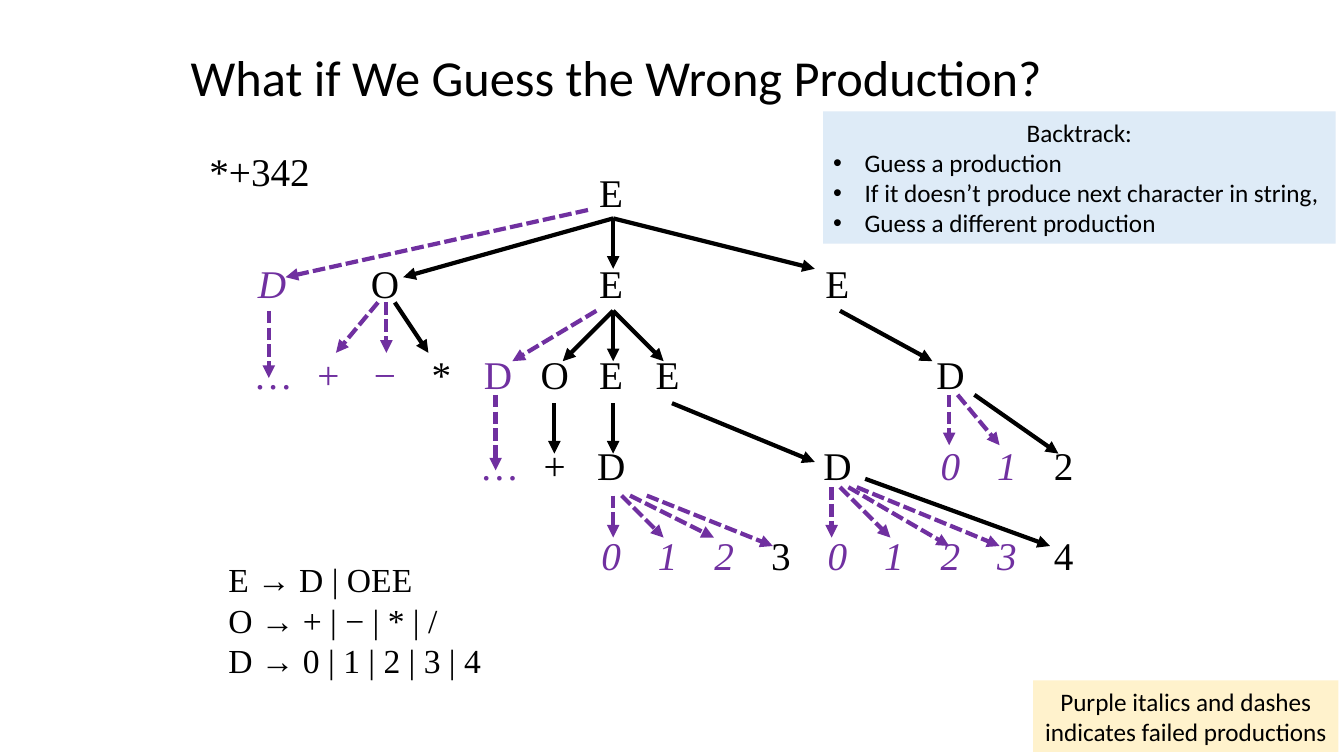
from dataclasses import dataclass

from lxml import etree
from pptx import Presentation
from pptx.dml.color import RGBColor
from pptx.enum.dml import MSO_LINE
from pptx.enum.shapes import MSO_CONNECTOR, MSO_SHAPE
from pptx.enum.text import MSO_ANCHOR, PP_ALIGN
from pptx.oxml.ns import qn
from pptx.util import Pt

LEFT, CENTER = PP_ALIGN.LEFT, PP_ALIGN.CENTER
MIDDLE = MSO_ANCHOR.MIDDLE
STRAIGHT, RECTANGLE = MSO_CONNECTOR.STRAIGHT, MSO_SHAPE.RECTANGLE
FAILED_DASH = MSO_LINE.SQUARE_DOT
NO_STYLE = "{2D5ABB26-0587-4C30-8999-92F81FD0307C}"


@dataclass(frozen=True)
class Theme:
    ink: RGBColor = RGBColor.from_string("000000")
    failed: RGBColor = RGBColor.from_string("7030A0")
    blue: RGBColor = RGBColor.from_string("DEEBF7")
    yellow: RGBColor = RGBColor.from_string("FFF2CC")
    sans: str = "Calibri"
    serif: str = "Times New Roman"
    title: int = 36
    symbol: int = 28
    grammar: int = 24
    note: int = 18
    arrow: int = 3


THEME = Theme()
GRID = 6
COLUMNS = 15
ROW_HEIGHT = 64.8

# Symbols: row -> {column: (symbol, failed, italic)}
TREE_ROWS = [
    {6: "E"},
    {0: "~D", 2: "O", 6: "E", 10: "E"},
    {0: "!…", 1: "!+", 2: "!−", 3: "*", 4: "!D", 5: "O", 6: "E", 7: "E", 12: "D"},
    {4: "!…", 5: "+", 6: "D", 10: "D", 12: "~0", 13: "~1", 14: "2"},
    {6: "~0", 7: "~1", 8: "~2", 9: "3", 10: "~0", 11: "~1", 12: "~2", 13: "~3", 14: "4"},
]
TAKEN_ARROWS = [
    (44, 6, 19, 13), (44, 6, 44, 12), (44, 6, 68, 12),
    (18, 16, 22, 22),
    (44, 17, 38, 23), (44, 17, 44, 23), (44, 17, 50, 23), (71, 17, 82, 23),
    (37, 28, 37, 34), (44, 28, 44, 34), (51, 28, 68, 35),
    (87, 27, 97, 34), (74, 37, 96, 45),
]
FAILED_ARROWS = [
    (41, 5, 5, 13), (3, 17, 3, 25),
    (16, 16, 11, 22), (17, 16, 17, 22),
    (42, 17, 32, 23), (30, 27, 30, 36),
    (84, 27, 84, 33), (85, 27, 90, 33),
    (44, 39, 44, 44), (45, 39, 50, 44), (46, 39, 56, 44), (48, 39, 63, 45),
    (70, 38, 70, 44), (71, 38, 77, 44), (72, 38, 84, 45), (73, 38, 90, 45),
]


def style(paragraph, size, face, align=LEFT, color=THEME.ink, italic=False):
    paragraph.alignment = align
    font = paragraph.font
    font.size, font.name, font.italic = Pt(size), face, italic
    font.color.rgb = color


def add_bullet(paragraph, indent):
    properties = paragraph._p.get_or_add_pPr()
    properties.set("marL", str(Pt(indent)))
    properties.set("indent", str(-Pt(indent)))
    etree.SubElement(properties, qn("a:buFont")).set("typeface", "Arial")
    etree.SubElement(properties, qn("a:buChar")).set("char", "•")


def add_title(slide, box):
    title = slide.shapes.title
    title.left, title.top, title.width, title.height = map(Pt, box)
    title.text_frame.text = "What if We Guess the Wrong Production?"
    title.text_frame.vertical_anchor = MIDDLE
    heading = title.text_frame.paragraphs[0]
    style(heading, THEME.title, THEME.sans)
    heading.line_spacing = 0.9


def add_symbols(slide, box):
    table = slide.shapes.add_table(len(TREE_ROWS), COLUMNS, *map(Pt, box)).table
    table.first_row = table.horz_banding = False
    table._tbl.tblPr.find(qn("a:tableStyleId")).text = NO_STYLE
    for column in table.columns:
        column.width = Pt(box[2] / COLUMNS)
    for row in table.rows:
        row.height = Pt(ROW_HEIGHT)
    for cell in table.iter_cells():
        cell.fill.background()
    for row, symbols in enumerate(TREE_ROWS):
        for column, marked in symbols.items():
            failed, italic = marked[0] in "~!", marked[0] == "~"
            symbol = table.cell(row, column).text_frame.paragraphs[0]
            symbol.text = marked[-1]
            style(symbol, THEME.symbol, THEME.serif, CENTER,
                  THEME.failed if failed else THEME.ink, italic)


def add_arrow(slide, box, ends, failed):
    left, top = box[:2]
    x1, y1, x2, y2 = (GRID * end for end in ends)
    arrow = slide.shapes.add_connector(
        STRAIGHT, Pt(left + x1), Pt(top + y1), Pt(left + x2), Pt(top + y2))
    arrow.line.width = Pt(THEME.arrow)
    arrow.line.color.rgb = THEME.failed if failed else THEME.ink
    if failed:
        arrow.line.dash_style = FAILED_DASH
    properties = arrow._element.spPr
    etree.SubElement(properties.find(qn("a:ln")), qn("a:tailEnd")).set("type", "triangle")
    etree.SubElement(properties, qn("a:effectLst"))


def add_parse_tree(slide, box):
    add_symbols(slide, box)
    for arrows, failed in ((TAKEN_ARROWS, False), (FAILED_ARROWS, True)):
        for ends in arrows:
            add_arrow(slide, box, ends, failed)


def add_serif_text(slide, box, text, size):
    frame = slide.shapes.add_textbox(*map(Pt, box)).text_frame
    frame.word_wrap = True
    frame.text = text
    for line in frame.paragraphs:
        style(line, size, THEME.serif)


def add_note(slide, box, fill, lines, bullets=()):
    note = slide.shapes.add_shape(RECTANGLE, *map(Pt, box))
    note.shadow.inherit = False
    note.fill.solid()
    note.fill.fore_color.rgb = fill
    note.line.fill.background()
    frame = note.text_frame
    frame.word_wrap = False
    frame.vertical_anchor = MIDDLE
    frame.text = "\n".join([*lines, *bullets])
    for index, line in enumerate(frame.paragraphs):
        bulleted = index >= len(lines)
        if bulleted:
            add_bullet(line, 22.5)
        style(line, THEME.note, THEME.sans, LEFT if bulleted else CENTER)


def build_backtracking_slide(deck):
    slide = deck.slides.add_slide(deck.slide_layouts[5])
    add_parse_tree(slide, (174, 120, 606, 324))
    add_serif_text(slide, (142.5, 101.5, 86.5, 41), "*+342", THEME.symbol)
    add_title(slide, (129, 12, 663, 90))
    add_serif_text(slide, (156, 396, 210, 94.5),
                   "E → D | OEE\nO → + | − | * | /\nD → 0 | 1 | 2 | 3 | 4", THEME.grammar)
    add_note(slide, (738, 486, 218, 51), THEME.yellow,
             ["Purple italics and dashes", "indicates failed productions"])
    add_note(slide, (588, 79.5, 366, 94.5), THEME.blue, ["Backtrack:"],
             ["Guess a production", "If it doesn’t produce next character in string,",
              "Guess a different production"])


def main():
    deck = Presentation()
    deck.slide_width, deck.slide_height = Pt(960), Pt(540)
    build_backtracking_slide(deck)
    deck.save("out.pptx")


if __name__ == "__main__":
    main()
